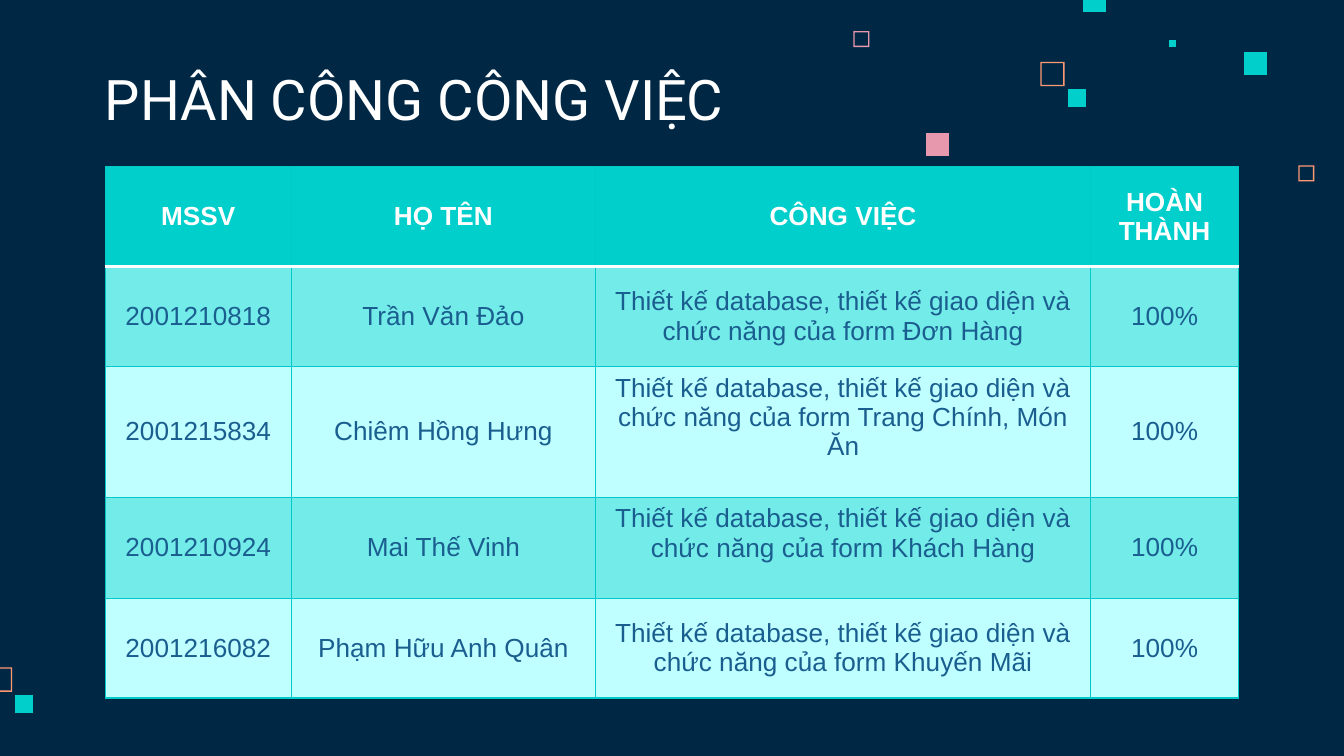
"""Build the task assignment slide with its table and scattered squares."""
import dataclasses

import lxml.etree
import pptx
import pptx.dml.color
import pptx.enum.text
import pptx.oxml.ns
import pptx.util

Pt = pptx.util.Pt
Align = pptx.enum.text.PP_ALIGN
Anchor = pptx.enum.text.MSO_ANCHOR


@dataclasses.dataclass(frozen=True)
class Theme:
    navy: str = "002845"
    teal: str = "00CFCC"
    orange: str = "FF9973"
    pink: str = "E898AC"
    white: str = "FFFFFF"
    ink: str = "1A5E8F"
    grid: str = "00CAC8"
    bands: tuple = ("73ECE9", "C0FFFF")
    title_font: str = "Roboto"
    table_font: str = "Arial"
    title_size: float = 30
    table_size: float = 14


THEME = Theme()
SQUARES = [
    (695.5, 88.6, 8.6, THEME.orange, True),
    (457.2, 16.6, 8.6, THEME.pink, True),
    (557.3, 33.1, 13, THEME.orange, True),
    (626.4, 21.6, 3.4, THEME.teal, False),
    (580.4, -5.8, 12.2, THEME.teal, False),
    (666.6, 28, 12.2, THEME.teal, False),
    (572, 47.7, 9.6, THEME.teal, False),
    (496.1, 71.3, 12.2, THEME.pink, False),
    (-6.5, 357.6, 13, THEME.orange, True),
    (8.1, 372.2, 9.6, THEME.teal, False),
]
HEADER = ("MSSV", "HỌ TÊN", "CÔNG VIỆC", "HOÀN THÀNH")
TASK = "Thiết kế database, thiết kế giao diện và chức năng của form "
MEMBERS = [
    ("2001210818", "Trần Văn Đảo", "Đơn Hàng"),
    ("2001215834", "Chiêm Hồng Hưng", "Trang Chính, Món Ăn"),
    ("2001210924", "Mai Thế Vinh", "Khách Hàng"),
    ("2001216082", "Phạm Hữu Anh Quân", "Khuyến Mãi"),
]
COLUMN_WIDTHS = (99.5, 163.2, 265, 79.5)
ROW_HEIGHTS = (53.4, 53.4, 70.2, 54.2, 53.4)
RAISED_TASK_ROWS = (2, 3)


class SlideBuilder:
    def __init__(self, deck, theme):
        self.theme = theme
        self.page = deck.slides.add_slide(deck.slide_layouts[5])
        self.paint(self.page.background.fill, theme.navy)

    def paint(self, fill, color):
        fill.solid()
        fill.fore_color.rgb = pptx.dml.color.RGBColor.from_string(color)

    def style_text(self, para, font, size, color, align, bold=False):
        para.alignment = align
        for span in para.runs:
            span.font.name = font
            span.font.size = Pt(size)
            span.font.bold = bold
            span.font.color.rgb = pptx.dml.color.RGBColor.from_string(color)

    def title(self, text, left, top, width, height):
        box = self.page.shapes.title
        box.left, box.top, box.width, box.height = map(Pt, (left, top, width, height))
        frame = box.text_frame
        frame.text = text
        frame.word_wrap = True
        frame.auto_size = pptx.enum.text.MSO_AUTO_SIZE.NONE
        frame.vertical_anchor = Anchor.BOTTOM
        frame.margin_left = frame.margin_right = Pt(7.2)
        frame.margin_top = frame.margin_bottom = Pt(7.2)
        self.style_text(frame.paragraphs[0], self.theme.title_font,
                        self.theme.title_size, self.theme.white, Align.LEFT)

    def square(self, left, top, size, color, hollow):
        right, bottom = left + size, top + size
        outline = self.page.shapes.build_freeform(Pt(left), Pt(top))
        corners = [(left, bottom), (right, bottom), (right, top)]
        outline.add_line_segments([(Pt(x), Pt(y)) for x, y in corners])
        if hollow:
            edge = 0.7
            near_x, near_y = left + edge, top + edge
            far_x, far_y = right - edge, bottom - edge
            outline.move_to(Pt(near_x), Pt(near_y))
            corners = [(far_x, near_y), (far_x, far_y), (near_x, far_y)]
            outline.add_line_segments([(Pt(x), Pt(y)) for x, y in corners])
        shape = outline.convert_to_shape()
        shape.shadow.inherit = False
        self.paint(shape.fill, color)
        shape.line.fill.background()

    def border(self, cell, side, color, width):
        qn = pptx.oxml.ns.qn
        properties = cell._tc.get_or_add_tcPr()
        line = lxml.etree.SubElement(properties, qn(f"a:ln{side}"), w=str(Pt(width)))
        fill = lxml.etree.SubElement(line, qn("a:solidFill"))
        lxml.etree.SubElement(fill, qn("a:srgbClr"), val=color)

    def cell(self, cell, text, row):
        theme = self.theme
        is_header = row == 0
        for side in "LRTB":
            heavy = (is_header and side == "B") or (row == 1 and side == "T")
            self.border(cell, side, *((theme.white, 2) if heavy else (theme.grid, 0.75)))
        self.paint(cell.fill, theme.teal if is_header else theme.bands[(row - 1) % 2])
        cell.vertical_anchor = Anchor.MIDDLE
        cell.text_frame.text = text
        self.style_text(cell.text_frame.paragraphs[0], theme.table_font,
                        theme.table_size, theme.white if is_header else theme.ink,
                        Align.CENTER, is_header)

    def table(self, rows, left, top):
        table = self.page.shapes.add_table(
            len(rows), len(COLUMN_WIDTHS), Pt(left), Pt(top),
            Pt(sum(COLUMN_WIDTHS)), Pt(sum(ROW_HEIGHTS))).table
        table.horz_banding = False
        for column, width in zip(table.columns, COLUMN_WIDTHS):
            column.width = Pt(width)
        for row, (texts, height) in enumerate(zip(rows, ROW_HEIGHTS)):
            table.rows[row].height = Pt(height)
            for column, text in enumerate(texts):
                self.cell(table.cell(row, column), text, row)
        for row in RAISED_TASK_ROWS:
            table.cell(row, 2).margin_bottom = Pt(18.8)


def main():
    deck = pptx.Presentation()
    deck.slide_width, deck.slide_height = Pt(720), Pt(405)
    builder = SlideBuilder(deck, THEME)
    for square in SQUARES:
        builder.square(*square)
    builder.title("PHÂN CÔNG CÔNG VIỆC", 49, 32.4, 372.2, 45.4)
    members = [(code, name, TASK + form, "100%") for code, name, form in MEMBERS]
    builder.table([HEADER, *members], 56.5, 89.4)
    deck.save("out.pptx")


if __name__ == "__main__":
    main()
